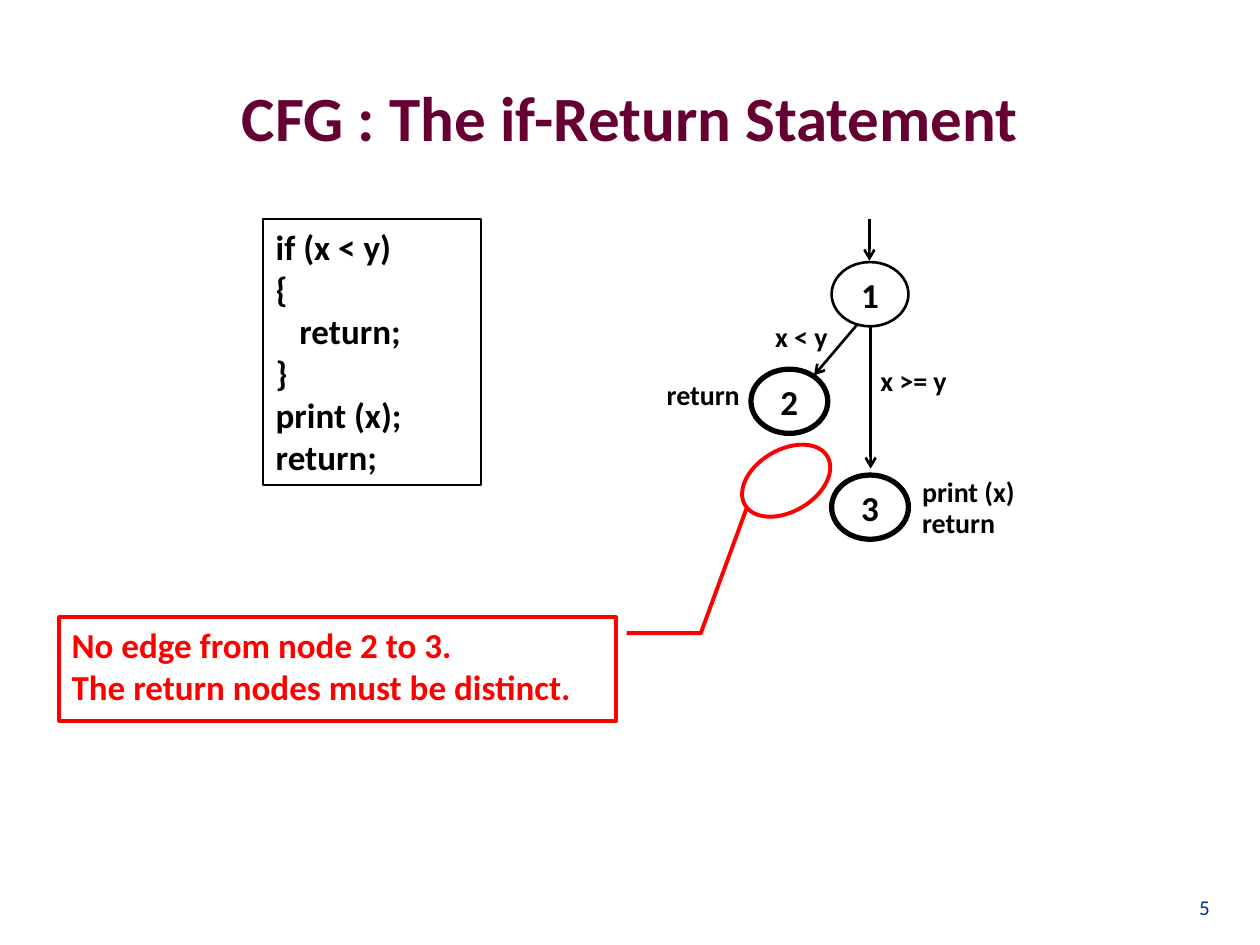
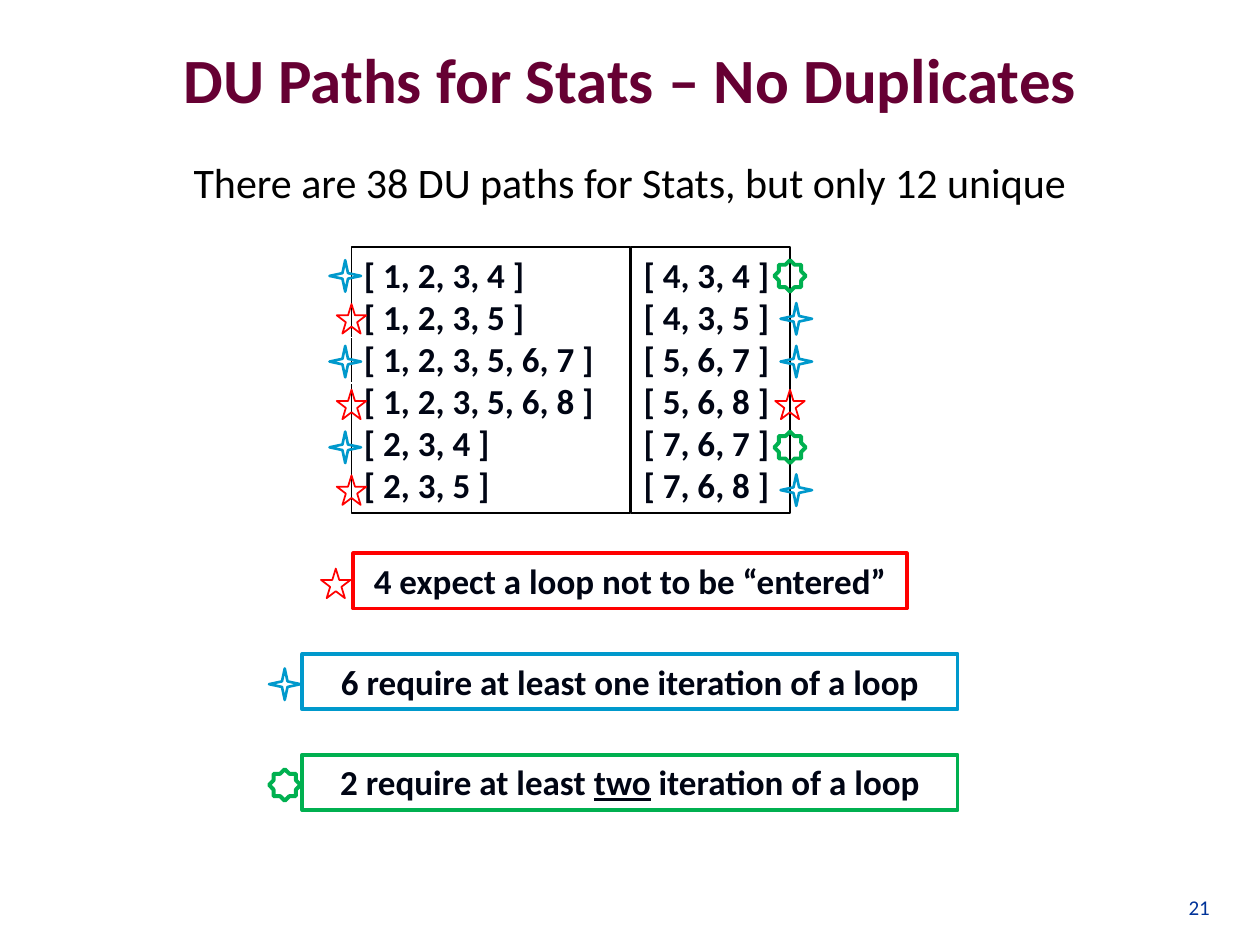
from dataclasses import dataclass
from typing import NamedTuple

from lxml.etree import SubElement
from pptx import Presentation
from pptx.dml.color import RGBColor as Rgb
from pptx.enum.shapes import MSO_CONNECTOR as Connector, MSO_SHAPE as Preset
from pptx.enum.text import MSO_ANCHOR as Anchor, MSO_AUTO_SIZE as AutoSize, PP_ALIGN as Align
from pptx.oxml.ns import qn
from pptx.util import Emu, Inches, Pt

SLIDE_WIDTH, SLIDE_HEIGHT = Inches(10), Inches(7.5)
CELL = SLIDE_WIDTH // 100  # square grid: 100 columns by 75 rows


@dataclass(frozen=True)
class Theme:
    font: str = "Calibri"
    title: str = "660033"
    number: str = "003399"
    ink: str = "000000"
    path_ink: str = "000514"
    paper: str = "FFFFFF"
    red: str = "FF0000"
    blue: str = "0099CC"
    green: str = "00B050"
    title_size: int = 36
    lead_size: int = 24
    body_size: int = 20
    label_size: int = 16
    number_size: int = 12
    thin: float = 1
    edge: float = 1.5
    frame: float = 2.25
    heavy: float = 3


THEME = Theme()


class Area(NamedTuple):
    """A block of grid cells."""
    col: float
    row: float
    cols: float
    rows: float

    def emu(self) -> list[Emu]:
        return [Emu(round(cells * CELL)) for cells in self]

    @classmethod
    def around(cls, col: float, row: float, cols: float, rows: float) -> "Area":
        return cls(col - cols / 2, row - rows / 2, cols, rows)


@dataclass(frozen=True)
class Style:
    size: int = THEME.body_size
    color: str = THEME.ink
    bold: bool = True
    align: Align = Align.LEFT
    anchor: Anchor = Anchor.TOP
    line_spacing: float = 1.0
    space_before: float = 0


TITLE = Style(THEME.title_size, THEME.title, align=Align.CENTER, anchor=Anchor.MIDDLE)
LEAD = Style(THEME.lead_size, bold=False, align=Align.CENTER)
NUMBER = Style(THEME.number_size, THEME.number, False, Align.RIGHT, Anchor.BOTTOM)
CODE = Style()
NODE = Style(align=Align.CENTER, anchor=Anchor.MIDDLE)
CONDITION = Style(THEME.label_size, align=Align.CENTER)
ACTION = Style(THEME.label_size, line_spacing=0.5, space_before=8)
ACTION_LEFT = Style(THEME.label_size, align=Align.RIGHT, line_spacing=0.5)
WARNING = Style(color=THEME.red)
PATHS = Style(color=THEME.path_ink)
SUMMARY = Style(color=THEME.path_ink, align=Align.CENTER)


class Node(NamedTuple):
    label: str
    col: float
    row: float
    outline: float


class Edge(NamedTuple):
    start: tuple[float, float]
    end: tuple[float, float]


class Label(NamedTuple):
    text: str
    area: Area
    style: Style


class Marker(NamedTuple):
    """The star that shows how a path uses the loop."""
    preset: Preset
    color: str
    outline: float
    size: float
    outward: float = 0
    adjustments: tuple[float, ...] = ()


class PathColumn(NamedTuple):
    area: Area
    marker_col: float
    side: int
    paths: tuple[tuple[str, Marker], ...]


class Finding(NamedTuple):
    text: str
    marker: Marker
    cols: float
    stressed: str = ""


NODES = (
    Node("3", 66, 37.7, THEME.heavy),
    Node("1", 66, 20.8, THEME.edge),
    Node("2", 59.6, 29.3, THEME.heavy),
)
EDGES = (
    Edge((68, 25.8), (64.6, 29.8)),
    Edge((69, 17.4), (69, 20.7)),
    Edge((69.1, 25.8), (69.1, 37.2)),
)
LABELS = (
    Label("x >= y", Area(68.4, 28.4, 8.2, 3.7), CONDITION),
    Label("x < y", Area(59.5, 24.9, 8.2, 3.7), CONDITION),
    Label("return", Area(49.4, 30.6, 10.3, 2.4), ACTION_LEFT),
    Label("print (x)\nreturn", Area(72.2, 38.3, 10.3, 5.2), ACTION),
)
IF_RETURN_CODE = "if (x < y)\n{\n   return;\n}\nprint (x);\nreturn;"

NOT_ENTERED = Marker(Preset.STAR_5_POINT, THEME.red, THEME.thin, 2.35)
ONE_ROUND = Marker(Preset.STAR_4_POINT, THEME.blue, THEME.edge, 2.5, 0.5, (0.125,))
TWO_ROUNDS = Marker(Preset.STAR_8_POINT, THEME.green, THEME.frame, 2.5, 0, (0.383,))

FIRST_PATH_ROW, PATH_PITCH = 21.9, 3.4
PATH_COLUMNS = (
    PathColumn(Area(27.9, 19.6, 22.1, 21.1), 27.9, -1, (
        ("[ 1, 2, 3, 4 ]", ONE_ROUND),
        ("[ 1, 2, 3, 5 ]", NOT_ENTERED),
        ("[ 1, 2, 3, 5, 6, 7 ]", ONE_ROUND),
        ("[ 1, 2, 3, 5, 6, 8 ]", NOT_ENTERED),
        ("[ 2, 3, 4 ]", ONE_ROUND),
        ("[ 2, 3, 5 ]", NOT_ENTERED),
    )),
    PathColumn(Area(50.1, 19.6, 12.6, 21.1), 62.7, 1, (
        ("[ 4, 3, 4 ]", TWO_ROUNDS),
        ("[ 4, 3, 5 ]", ONE_ROUND),
        ("[ 5, 6, 7 ]", ONE_ROUND),
        ("[ 5, 6, 8 ]", NOT_ENTERED),
        ("[ 7, 6, 7 ]", TWO_ROUNDS),
        ("[ 7, 6, 8 ]", ONE_ROUND),
    )),
)
FIRST_FINDING_ROW, FINDING_PITCH, FINDING_ROWS = 43.9, 8, 4.4
FINDINGS = (
    Finding("4 expect a loop not to be “entered”", NOT_ENTERED, 43.9),
    Finding("6 require at least one iteration of a loop", ONE_ROUND, 52),
    Finding("2 require at least two iteration of a loop", TWO_ROUNDS, 52, "two"),
)


def write(frame, text: str, style: Style, stressed: str = "") -> None:
    """Fill a text frame line by line, underlining the stressed word."""
    frame_format = {"word_wrap": True, "auto_size": AutoSize.NONE, "vertical_anchor": style.anchor}
    for name, value in frame_format.items():
        setattr(frame, name, value)
    for index, line in enumerate(text.split("\n")):
        paragraph = frame.add_paragraph() if index else frame.paragraphs[0]
        paragraph_format = {
            "alignment": style.align,
            "line_spacing": style.line_spacing,
            "space_before": Pt(style.space_before if index else 0),
        }
        for name, value in paragraph_format.items():
            setattr(paragraph, name, value)
        for part in line.partition(stressed) if stressed else (line,):
            run = paragraph.add_run()
            run.text = part
            run_format = {
                "name": THEME.font,
                "size": Pt(style.size),
                "bold": style.bold,
                "underline": bool(stressed) and part == stressed,
            }
            for name, value in run_format.items():
                setattr(run.font, name, value)
            run.font.color.rgb = Rgb.from_string(style.color)


def add_text(slide, text: str, area: Area, style: Style) -> None:
    write(slide.shapes.add_textbox(*area.emu()).text_frame, text, style)


def set_line(line, color: str, width: float) -> None:
    line.color.rgb = Rgb.from_string(color)
    line.width = Pt(width)


def add_outline(slide, preset: Preset, area: Area, color: str, width: float,
                adjustments: tuple[float, ...] = ()):
    """Add an unfilled preset shape."""
    outline = slide.shapes.add_shape(preset, *area.emu())
    outline.shadow.inherit = False
    outline.fill.background()
    set_line(outline.line, color, width)
    for index, value in enumerate(adjustments):
        outline.adjustments[index] = value
    return outline


def add_node(slide, node: Node) -> None:
    circle = add_outline(slide, Preset.OVAL, Area(node.col, node.row, 6.1, 5.1),
                         THEME.ink, node.outline)
    frame = circle.text_frame
    for side in ("left", "right", "top", "bottom"):
        setattr(frame, f"margin_{side}", 0)
    write(frame, node.label, NODE)


def add_edge(slide, edge: Edge) -> None:
    ends = [Emu(round(cells * CELL)) for cells in (*edge.start, *edge.end)]
    arrow = slide.shapes.add_connector(Connector.STRAIGHT, *ends)
    set_line(arrow.line, THEME.ink, THEME.edge)
    properties = arrow._element.spPr
    SubElement(properties.find(qn("a:ln")), qn("a:tailEnd"), type="arrow")
    SubElement(properties, qn("a:effectLst"))


def add_marker(slide, marker: Marker, col: float, row: float) -> None:
    add_outline(slide, marker.preset, Area.around(col, row, marker.size, marker.size),
                marker.color, marker.outline, marker.adjustments)


def add_titled_slide(deck, title: str, title_row: float, number: str):
    slide = deck.slides.add_slide(deck.slide_layouts[5])
    heading = slide.shapes.title
    place = Area(5, title_row, 90, 12.5).emu()
    for name, value in zip(("left", "top", "width", "height"), place):
        setattr(heading, name, value)
    write(heading.text_frame, title, TITLE)
    add_text(slide, number, Area(90.1, 68.3, 6.9, 5.2), NUMBER)
    return slide


def build_if_return(deck) -> None:
    slide = add_titled_slide(deck, "CFG : The if-Return Statement", 3, "5")
    code = add_outline(slide, Preset.RECTANGLE, Area(20.9, 17.4, 17.3, 21.1),
                       THEME.ink, THEME.thin)
    write(code.text_frame, IF_RETURN_CODE, CODE)
    for node in NODES:
        add_node(slide, node)
    for edge in EDGES:
        add_edge(slide, edge)
    for label in LABELS:
        add_text(slide, *label)
    warning = add_outline(slide, Preset.LINE_CALLOUT_2, Area(4.7, 49, 44.2, 8.2), THEME.red,
                          THEME.frame, (0.153, 1.019, 0.153, 1.152, -1.053, 1.234))
    write(warning.text_frame,
          "No edge from node 2 to 3.\nThe return nodes must be distinct.", WARNING)
    missing_edge = add_outline(slide, Preset.OVAL, Area(58.6, 35.7, 7.6, 4.9),
                               THEME.red, THEME.frame)
    missing_edge.rotation = 329.5


def build_du_paths(deck) -> None:
    slide = add_titled_slide(deck, "DU Paths for Stats – No Duplicates", 0, "21")
    add_text(slide, "There are 38 DU paths for Stats, but only 12 unique",
             Area(1.5, 11.9, 97, 6.4), LEAD)
    for column in PATH_COLUMNS:
        box = add_outline(slide, Preset.RECTANGLE, column.area, THEME.ink, THEME.thin)
        write(box.text_frame, "\n".join(path for path, _ in column.paths), PATHS)
        for index, (_, marker) in enumerate(column.paths):
            add_marker(slide, marker, column.marker_col + column.side * marker.outward,
                       FIRST_PATH_ROW + index * PATH_PITCH)
    for index, finding in enumerate(FINDINGS):
        area = Area(50 - finding.cols / 2, FIRST_FINDING_ROW + index * FINDING_PITCH,
                    finding.cols, FINDING_ROWS)
        box = add_outline(slide, Preset.RECTANGLE, area, finding.marker.color, THEME.frame)
        write(box.text_frame, finding.text, SUMMARY, finding.stressed)
        add_marker(slide, finding.marker, area.col - 1.4, area.row + area.rows / 2 + 0.2)
    add_outline(slide, Preset.RECTANGLE, Area(25.3, 26.8, 23.2, 3.6), THEME.paper, THEME.thin)


def main() -> None:
    deck = Presentation()
    deck.slide_width, deck.slide_height = SLIDE_WIDTH, SLIDE_HEIGHT
    build_if_return(deck)
    build_du_paths(deck)
    deck.save("out.pptx")


if __name__ == "__main__":
    main()
